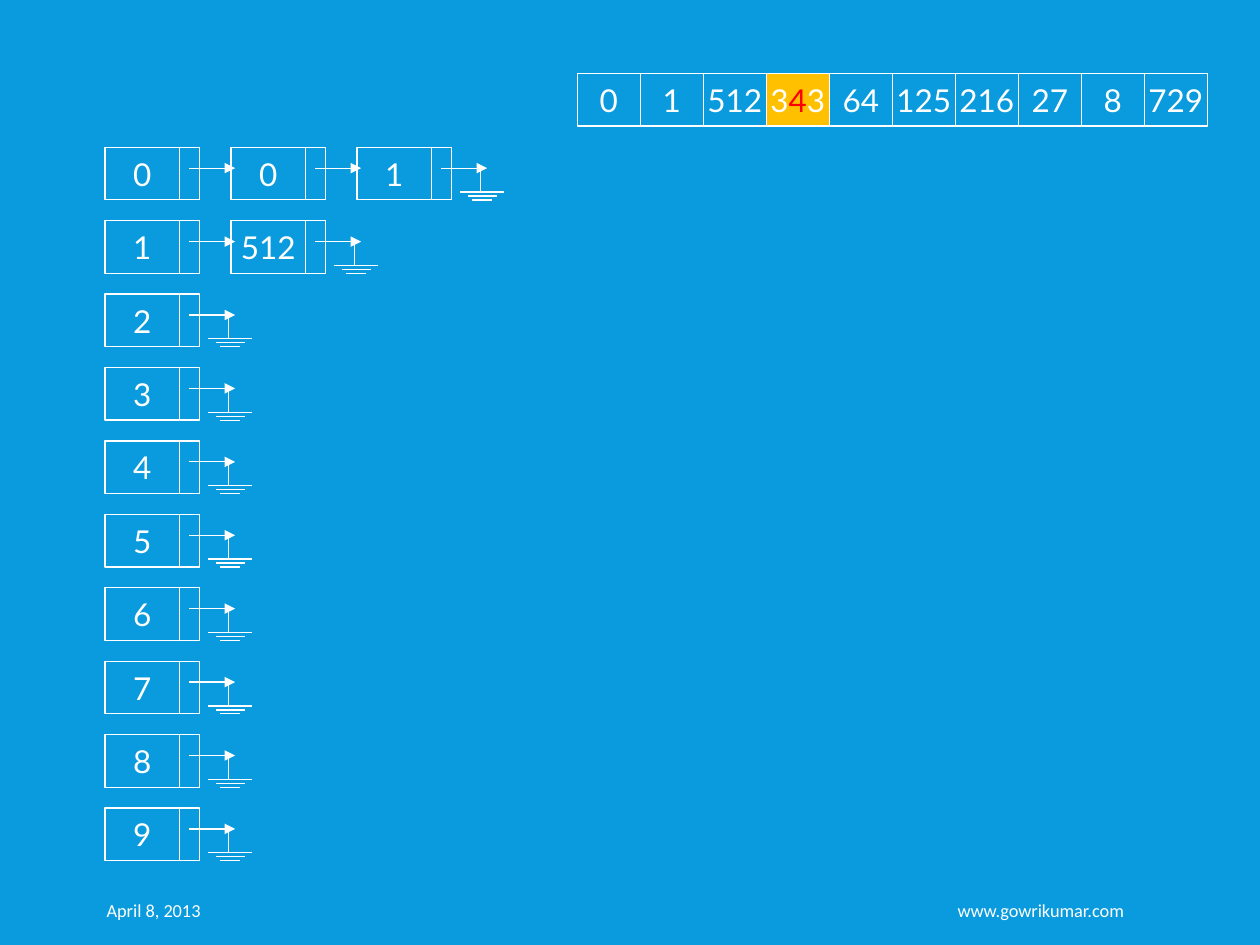
"""Build the radix-sort slide: an array above ten linked-list buckets."""
from dataclasses import dataclass

from lxml import etree
from pptx import Presentation, util as u
from pptx.dml.color import RGBColor
from pptx.enum import shapes, text
from pptx.oxml import ns


@dataclass(frozen=True)
class Theme:
    """Colours, fonts and sizes of the slide."""
    background: RGBColor = RGBColor(0x09, 0x9B, 0xDD)
    ink: RGBColor = RGBColor(0xFF, 0xFF, 0xFF)
    highlight: RGBColor = RGBColor(0xFF, 0xC0, 0x00)
    digit: RGBColor = RGBColor(0xFF, 0x00, 0x00)
    body_font: str = "Lato"
    footer_font: str = "Calibri"
    body_size: float = 18
    footer_size: float = 10.5
    line_width: float = 0.75


THEME = Theme()
ARRAY = ["0", "1", "512", "343", "64", "125", "216", "27", "8", "729"]
CURRENT, DIGIT = 3, 1
BUCKETS = {0: ["0", "1"], 1: ["512"]}
BUCKET_COUNT = 10
ARRAY_LEFT, ARRAY_TOP, CELL_WIDTH = 11.64, 1.48, 1.27
LIST_LEFT, LIST_TOP, NODE_PITCH, ROW_PITCH = 2.12, 2.97, 2.54, 1.48
VALUE_WIDTH, POINTER_WIDTH, BOX_HEIGHT = 1.5, 0.4, 1.06
ARROW_START, ARROW_END, ARROW_DROP = 1.7, 2.62, 0.42
GROUND_CENTER = 2.52
GROUND_BARS = [(0.9, 0.9), (0.98, 0.58), (1.06, 0.4)]


def write_text(shape, content, *, font=THEME.body_font, size=THEME.body_size, align=text.PP_ALIGN.CENTER,
               wrap=False, marked=None):
    """Write one paragraph, colouring the marked character if there is one."""
    frame = shape.text_frame
    frame.word_wrap = wrap
    frame.vertical_anchor = text.MSO_ANCHOR.MIDDLE
    paragraph = frame.paragraphs[0]
    paragraph.alignment = align
    pieces = [content] if marked is None else list(content)
    for index, piece in enumerate(pieces):
        run = paragraph.add_run()
        run.text = piece
        run.font.name = font
        run.font.size = u.Pt(size)
        run.font.color.rgb = THEME.digit if index == marked else THEME.ink


def add_box(parent, left, top, width, content="", fill=None, **text_format):
    """Add an outlined rectangle with optional text and fill."""
    shape = parent.shapes.add_shape(shapes.MSO_SHAPE.RECTANGLE, u.Cm(left), u.Cm(top), u.Cm(width), u.Cm(BOX_HEIGHT))
    shape.shadow.inherit = False
    if fill is None:
        shape.fill.background()
    else:
        shape.fill.solid()
        shape.fill.fore_color.rgb = fill
    shape.line.color.rgb = THEME.ink
    shape.line.width = u.Pt(THEME.line_width)
    if content:
        write_text(shape, content, **text_format)


def add_line(parent, start, end, arrow=False):
    """Add a straight line, with an arrowhead at its end if asked."""
    points = [u.Cm(value) for value in (*start, *end)]
    connector = parent.shapes.add_connector(shapes.MSO_CONNECTOR.STRAIGHT, *points)
    connector.line.color.rgb = THEME.ink
    connector.line.width = u.Pt(THEME.line_width)
    if arrow:
        etree.SubElement(connector.line._get_or_add_ln(), ns.qn("a:tailEnd"), type="triangle")
    etree.SubElement(connector._element.spPr, ns.qn("a:effectLst"))


def add_ground(parent, left, top):
    """Add the ground symbol that ends a list."""
    center = left + GROUND_CENTER
    for drop, width in GROUND_BARS:
        add_line(parent, (center - width / 2, top + drop), (center + width / 2, top + drop))
    stem = left + 2.49
    add_line(parent, (stem, top + GROUND_BARS[0][0]), (stem, top + ARROW_DROP))


def add_node(slide, left, top, value, last):
    """Add a grouped list node with its pointer arrow."""
    group = slide.shapes.add_group_shape()
    add_box(group, left, top, VALUE_WIDTH, value)
    add_box(group, left + VALUE_WIDTH, top, POINTER_WIDTH)
    height = top + ARROW_DROP
    add_line(group, (left + ARROW_START, height), (left + ARROW_END, height), arrow=True)
    if last:
        add_ground(group, left, top)


def add_array(slide):
    """Add the row of numbers with the current one highlighted."""
    for index, number in enumerate(ARRAY):
        current = index == CURRENT
        add_box(slide, ARRAY_LEFT + index * CELL_WIDTH, ARRAY_TOP, CELL_WIDTH, number,
                fill=THEME.highlight if current else None, marked=DIGIT if current else None)


def add_buckets(slide):
    """Add one linked list per digit."""
    for row in range(BUCKET_COUNT):
        values = [str(row), *BUCKETS.get(row, [])]
        for column, value in enumerate(values):
            add_node(slide, LIST_LEFT + column * NODE_PITCH, LIST_TOP + row * ROW_PITCH, value,
                     last=column == len(values) - 1)


def add_footer(slide, left, width, content, align):
    """Add a footer text box."""
    box = slide.shapes.add_textbox(u.Cm(left), u.Cm(17.83), u.Cm(width), u.Cm(1.02))
    write_text(box, content, font=THEME.footer_font, size=THEME.footer_size, align=align, wrap=True)


def main():
    """Build and save the presentation."""
    presentation = Presentation()
    presentation.slide_width, presentation.slide_height = u.Cm(25.4), u.Cm(19.05)
    slide = presentation.slides.add_slide(presentation.slide_layouts[6])
    slide.background.fill.solid()
    slide.background.fill.fore_color.rgb = THEME.background
    add_footer(slide, 1.9, 7.21, "April 8, 2013", text.PP_ALIGN.LEFT)
    add_footer(slide, 11.63, 11.28, "www.gowrikumar.com", text.PP_ALIGN.RIGHT)
    add_array(slide)
    add_buckets(slide)
    presentation.save("out.pptx")


if __name__ == "__main__":
    main()
